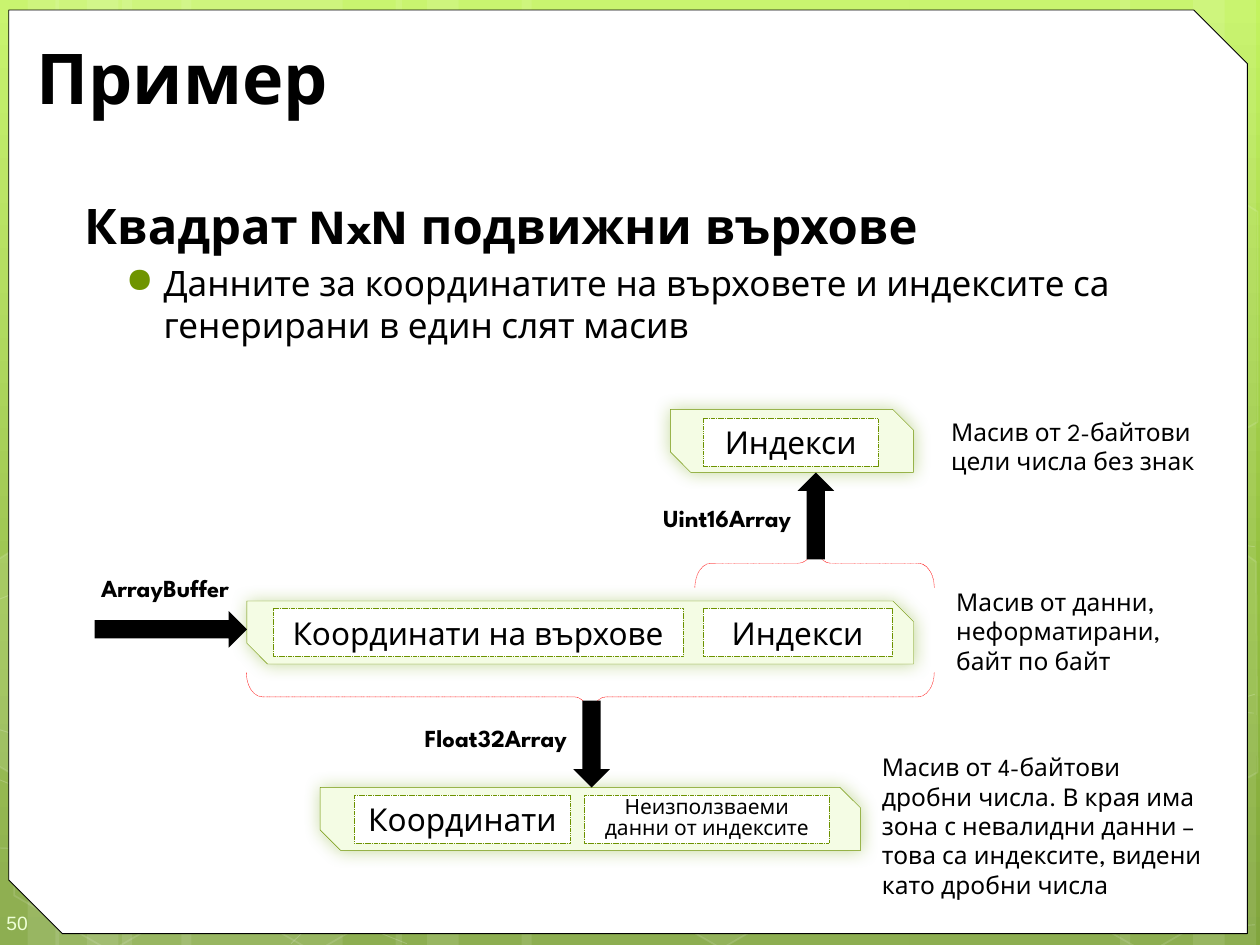
from copy import deepcopy

from lxml.etree import SubElement
from pptx import Presentation
from pptx.dml.color import RGBColor
from pptx.enum.dml import MSO_LINE
from pptx.enum.shapes import MSO_SHAPE
from pptx.enum.text import MSO_ANCHOR, PP_ALIGN
from pptx.oxml.ns import qn
from pptx.util import Inches, Pt

BLACK = RGBColor(0x00, 0x00, 0x00)
WHITE = RGBColor(0xFF, 0xFF, 0xFF)
RED = RGBColor(0xFF, 0x00, 0x00)
GREEN = RGBColor(0x6D, 0x92, 0x00)
BULLET = RGBColor(0x6F, 0x94, 0x00)
PALE = RGBColor(0xF4, 0xFC, 0xE4)
GLOW = RGBColor(0x74, 0xA5, 0x10)
NUMBER = RGBColor(0xEE, 0xFF, 0xD6)
SKY = [
    (0, RGBColor(0xC3, 0xF3, 0x5F)),
    (0.62, RGBColor(0x93, 0xBF, 0x3F)),
    (1, RGBColor(0x81, 0xA5, 0x3E)),
]
FACE = "League Spartan"

STRIPES = [
    (0.97, 1.75), (-0.03, 0.5), (0.22, 0.83), (1.44, 1.75), (0.44, 0.5),
    (0.69, 0.83), (7.22, 1.75), (9.47, 0.5), (8.89, 0.83), (4.14, 3.08),
    (3.14, 0.5), (3.39, 0.83),
]
CURVES = [
    [(-0.04, 6.73), (1.79, 6.78), (4.47, 6.65), (7.8, 6.17), (9.96, 5.51)],
    [(-0.04, 4.77), (1.1, 4.31), (3.36, 3.87), (6.43, 3.87), (9.96, 4.34)],
    [(-0.05, 6.17), (3.23, 7.49)],
    [(-0.04, 5.78), (1.17, 6.16), (3.45, 6.73), (6.17, 7.18), (8.41, 7.36),
     (9.34, 7.38), (9.96, 7.34)],
    [(2.31, 7.49), (2.91, 6.91), (3.76, 6.39), (4.58, 6.09), (5.97, 5.78),
     (6.69, 5.69), (7.83, 5.62), (9.41, 5.62), (9.95, 5.66)],
]
CELLS = [
    ([(-0.03, 4.45), (0.08, 4.38), (0.85, 4.82), (0.84, 5.7), (0.09, 6.14),
      (-0.03, 6.07)], 10),
    ([(9.15, 4.85), (9.9, 4.41), (9.97, 4.46), (9.98, 6.13), (9.91, 6.17),
      (9.14, 5.73)], 4),
    ([(9.15, 2.07), (9.9, 1.63), (9.98, 1.68), (9.98, 3.35), (9.91, 3.39),
      (9.14, 2.95)], 0),
]
HEXES = [(0, 5.91, 0), (1.62, 5.92, 0), (4.85, 5.89, 6), (8.23, 5.93, 0)]
BARS = [(1.96, 4.77, 5.29), (2.54, 6.25, 4.29), (5.32, 3.25, 1.93)]
PARTS = [
    (2.17, 4.83, 3.25, "Координати на върхове"),
    (5.58, 4.83, 1.5, "Индекси"),
    (2.81, 6.31, 1.72, "Координати"),
    (5.58, 3.32, 1.39, "Индекси"),
]
BRACES = [(4.49, 2.8, 5.46, 270), (6.27, 3.52, 1.9, 90)]
ARROWS = [(4.35, 5.76, 0.69, 90), (6.13, 3.95, 0.69, 270), (0.75, 4.85, 1.21, 0)]
TYPES = [
    (2.77, 5.69, 1.83, "Float32Array"),
    (4.55, 3.94, 1.83, "Uint16Array"),
    (0.46, 4.5, 1.46, "ArrayBuffer"),
]
NOTES = [
    (7.42, 4.61, 2.25, 0.81, "Масив от данни, неформатирани, байт по байт"),
    (7.38, 3.26, 2.46, 0.57, "Масив от 2-байтови цели числа без знак"),
    (6.83, 5.92, 2.92, 1.28,
     "Масив от 4-байтови дробни числа. В края има зона с невалидни данни – "
     "това са индексите, видени като дробни числа"),
]


def fade(fmt, percent):
    """Make a solid fill partly transparent."""
    color = fmt._xPr.find(".//" + qn("a:srgbClr"))
    SubElement(color, qn("a:alpha"), val=str(percent * 1000))


def paint(shape, fill=None, line=None, width=0.25, dash=None, clear=None, thin=None):
    """Set fill, line and opacity of a shape."""
    shape.shadow.inherit = False
    if fill is None:
        shape.fill.background()
    else:
        shape.fill.solid()
        shape.fill.fore_color.rgb = fill
        if clear:
            fade(shape.fill, clear)
    if line is None:
        shape.line.fill.background()
        return
    shape.line.color.rgb = line
    shape.line.width = Pt(width)
    if dash:
        shape.line.dash_style = dash
    if thin:
        fade(shape.line.fill, thin)


def draw(slide, kind, x, y, w, h, turn=0, adj=(), **look):
    """Add a painted preset shape."""
    shape = slide.shapes.add_shape(kind, Inches(x), Inches(y), Inches(w), Inches(h))
    shape.rotation = turn
    for i, value in enumerate(adj):
        shape.adjustments[i] = value
    paint(shape, **look)
    return shape


def trace(slide, points, close, **look):
    """Add a painted outline through points."""
    spots = [(Inches(x), Inches(y)) for x, y in points]
    pen = slide.shapes.build_freeform(*spots[0])
    pen.add_line_segments(spots[1:], close=close)
    paint(pen.convert_to_shape(), **look)


def style(para, text, size, bold=False, color=BLACK, face=FACE, left=0, hang=0):
    """Write a paragraph and format its run."""
    para.text = text
    props = para._p.get_or_add_pPr()
    props.set("marL", str(Inches(left)))
    props.set("indent", str(Inches(hang)))
    font = para.runs[0].font
    font.size, font.bold, font.name = Pt(size), bold, face
    font.color.rgb = color


def write(slide, x, y, w, h, text, size, align=PP_ALIGN.LEFT, **look):
    """Add a wrapped text box."""
    frame = slide.shapes.add_textbox(
        Inches(x), Inches(y), Inches(w), Inches(h)).text_frame
    frame.word_wrap = True
    style(frame.paragraphs[0], text, size, **look)
    frame.paragraphs[0].alignment = align
    return frame


def part(slide, x, y, w, text, size=18):
    """Add a dashed box with a centred label."""
    box = draw(slide, MSO_SHAPE.RECTANGLE, x, y, w, 0.38,
               fill=WHITE, line=GREEN, dash=MSO_LINE.SQUARE_DOT)
    frame = box.text_frame
    frame.word_wrap = True
    frame.vertical_anchor = MSO_ANCHOR.MIDDLE
    para = frame.paragraphs[0]
    style(para, text, size)
    para.alignment = PP_ALIGN.CENTER
    return para


def bar(slide, x, y, w):
    """Add a glowing array bar."""
    shape = draw(slide, MSO_SHAPE.SNIP_2_DIAG_RECTANGLE, x, y, w, 0.5,
                 adj=(0, 0.327), fill=PALE, line=GREEN)
    effects = shape._element.spPr.find(qn("a:effectLst"))
    glow = SubElement(effects, qn("a:outerShdw"), blurRad=str(Pt(10)),
                      dist="0", dir="2700000", rotWithShape="0")
    color = SubElement(glow, qn("a:srgbClr"), val=str(GLOW))
    SubElement(color, qn("a:alpha"), val="40000")


def scene(slide):
    """Draw the green backdrop and the white panel."""
    fill = slide.background.fill
    fill.gradient()
    fill.gradient_angle = 270
    stops = slide._element.find(".//" + qn("a:gsLst"))
    stops.append(deepcopy(stops[-1]))
    for stop, (place, color) in zip(fill.gradient_stops, SKY):
        stop.position = place
        stop.color.rgb = color
    for x, w in STRIPES:
        draw(slide, MSO_SHAPE.RECTANGLE, x, 0, w, 7.5, fill=WHITE, clear=10)
    for points in CURVES:
        trace(slide, points, False, line=WHITE, width=0.5, thin=20)
    for points, clear in CELLS:
        trace(slide, points, True, fill=WHITE if clear else None,
              clear=clear, line=WHITE, width=1, thin=12)
    for x, y, clear in HEXES:
        draw(slide, MSO_SHAPE.HEXAGON, x, y, 1.75, 1.52, 30, (0.285, 1.155),
             fill=WHITE if clear else None, clear=clear,
             line=WHITE, width=1, thin=12)
    draw(slide, MSO_SHAPE.SNIP_2_DIAG_RECTANGLE, 0.07, 0.08, 9.83, 7.33,
         adj=(0, 0.058), fill=WHITE, line=BLACK, width=0.5)


def words(slide):
    """Write page number, title and body."""
    page = write(slide, 0, 7.1, 0.58, 0.4, "50", 11, color=NUMBER, face="Arial")
    page.margin_left, page.margin_right = Inches(0.05), 0
    page.margin_top, page.margin_bottom = Inches(0.15), Inches(0.1)
    title = write(slide, 0.19, 0.25, 9.47, 0.71, "Пример", 40, bold=True)
    page.vertical_anchor = title.vertical_anchor = MSO_ANCHOR.MIDDLE
    body = write(slide, 0.5, 1.5, 9.42, 5.92, "Квадрат NxN подвижни върхове",
                 28, bold=True, left=0.07)
    para = body.add_paragraph()
    style(para, "Данните за координатите на върховете и индексите са "
          "генерирани в един слят масив", 20, left=0.7, hang=-0.3)
    props = para._p.get_or_add_pPr()
    SubElement(SubElement(props, qn("a:buClr")), qn("a:srgbClr"), val=str(BULLET))
    SubElement(props, qn("a:buChar"), char="●")
    para.space_before = Pt(4)


def main():
    """Build and save the slide."""
    deck = Presentation()
    deck.slide_width, deck.slide_height = Inches(10), Inches(7.5)
    slide = deck.slides.add_slide(deck.slide_layouts[6])
    scene(slide)
    words(slide)
    for item in BARS:
        bar(slide, *item)
    for item in PARTS:
        part(slide, *item)
    para = part(slide, 4.64, 6.31, 1.94, "Неизползваеми данни от индексите", 12)
    para.line_spacing = Pt(12)
    for x, y, h, turn in BRACES:
        draw(slide, MSO_SHAPE.LEFT_BRACE, x, y, 0.39, h, turn, (0.325, 0.5),
             line=RED, dash=MSO_LINE.ROUND_DOT)
    for x, y, w, turn in ARROWS:
        draw(slide, MSO_SHAPE.RIGHT_ARROW, x, y, w, 0.29, turn, fill=BLACK)
    for x, y, w, text in TYPES:
        write(slide, x, y, w, 0.34, text, 14, PP_ALIGN.RIGHT, bold=True, left=0.07)
    for x, y, w, h, text in NOTES:
        write(slide, x, y, w, h, text, 14, left=0.07)
    deck.save("out.pptx")


if __name__ == "__main__":
    main()
